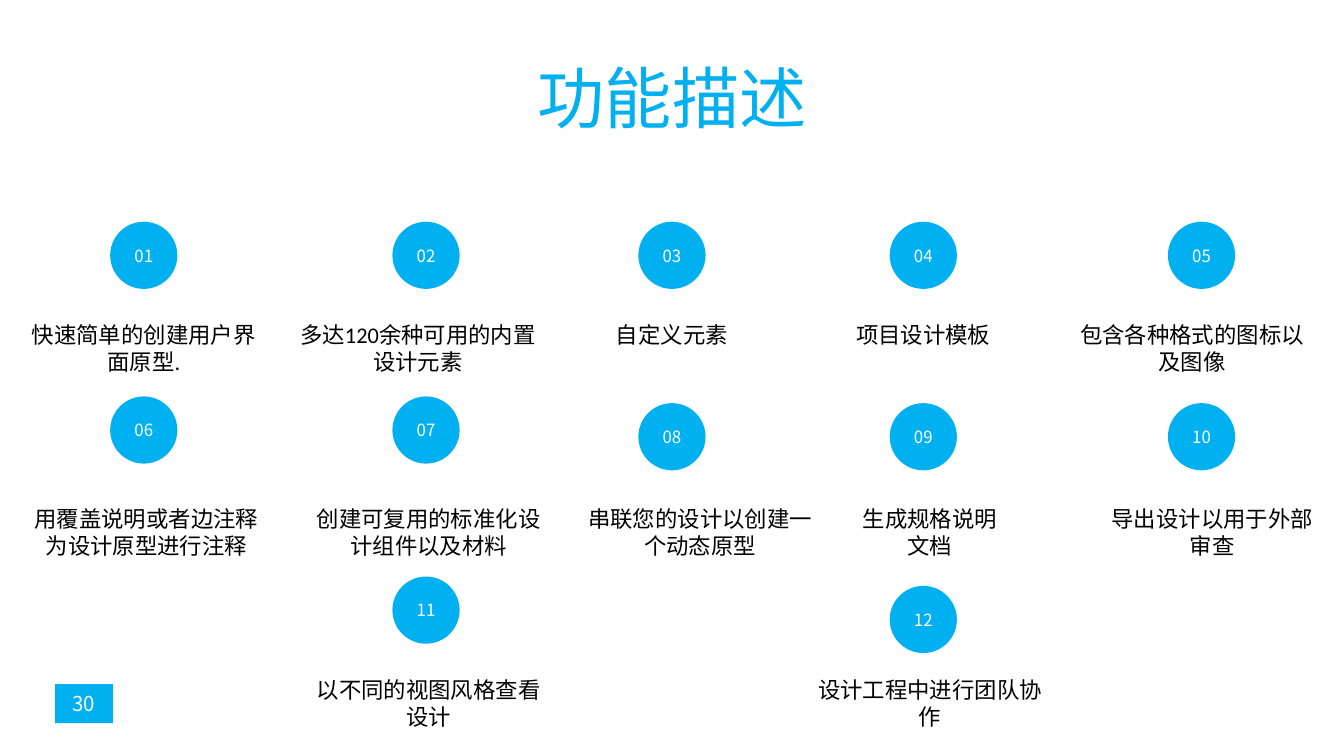
from lxml import etree
from pptx import Presentation
from pptx import util as u
from pptx.dml.color import RGBColor
from pptx.enum import shapes, text
from pptx.oxml.ns import qn

COLORS = {"accent": "00B0F0", "white": "FFFFFF", "black": "000000"}
SANS = "Noto Sans CJK KR"
DIAMETER = 0.5

# Centres of the five columns
COLUMNS = [1.07, 3.17, 5.0, 6.87, 8.94]
# Top of the captions in each row
CAPTION_TOPS = [2.34, 3.71, 4.98]
# Per feature: row, column, circle top, caption, caption shift from column, caption width
FEATURES = [
    (0, 0, 1.65, "快速简单的创建用户界面原型.", 0, 2),
    (0, 1, 1.65, "多达120余种可用的内置设计元素", -0.06, 2.04),
    (0, 2, 1.65, "自定义元素", 0, 1.21),
    (0, 3, 1.65, "项目设计模板", 0, 2),
    (0, 4, 1.65, "包含各种格式的图标以及图像", -0.07, 2),
    (1, 0, 2.95, "用覆盖说明或者边注释为设计原型进行注释", 0.02, 2),
    (1, 1, 2.95, "创建可复用的标准化设计组件以及材料", 0.02, 1.88),
    (1, 2, 3.0, "串联您的设计以创建一个动态原型", 0.21, 1.88),
    (1, 3, 3.0, "生成规格说明文档", 0.05, 1.26),
    (1, 4, 3.0, "导出设计以用于外部审查", 0.08, 1.79),
    (2, 1, 4.29, "以不同的视图风格查看设计", 0.02, 2),
    (2, 3, 4.36, "设计工程中进行团队协作", 0.05, 2),
]


def write(shape, words, size, color, font=SANS, anchor=text.MSO_ANCHOR.MIDDLE, inset=(0, 0)):
    """Fill a shape with one centred paragraph; inset is (side, top and bottom)."""
    frame = shape.text_frame
    frame.word_wrap = True
    frame.auto_size = text.MSO_AUTO_SIZE.NONE
    frame.vertical_anchor = anchor
    side, edge = inset
    frame.margin_left = frame.margin_right = u.Inches(side)
    frame.margin_top = frame.margin_bottom = u.Inches(edge)
    paragraph = frame.paragraphs[0]
    paragraph.alignment = text.PP_ALIGN.CENTER
    run = paragraph.add_run()
    run.text = words
    run.font.size = u.Pt(size)
    run.font.name = font
    run.font.color.rgb = RGBColor.from_string(COLORS[color])
    east_asian = etree.SubElement(run.font._element, qn("a:ea"))
    east_asian.set("typeface", font)


def add_badge(kind, left, top, width, height, words, size):
    badge = slide.shapes.add_shape(kind, *map(u.Inches, (left, top, width, height)))
    badge.shadow.inherit = False
    badge.fill.solid()
    badge.fill.fore_color.rgb = RGBColor.from_string(COLORS["accent"])
    badge.line.fill.background()
    write(badge, words, size, "white")


deck = Presentation()
deck.slide_width = u.Inches(10)
deck.slide_height = deck.slide_width * 9 // 16
slide = deck.slides.add_slide(deck.slide_layouts[5])

title = slide.shapes.title
title.left, title.top, title.width, title.height = map(u.Inches, (2, 0.65, 6, 0.42))
write(title, "功能描述", 36, "accent", anchor=text.MSO_ANCHOR.BOTTOM, inset=(0.1, 0.05))

add_badge(shapes.MSO_SHAPE.RECTANGLE, 0.41, 5.09, 0.43, 0.29, "30", 11)

for number, (row, column, top, caption, shift, width) in enumerate(FEATURES, 1):
    center = COLUMNS[column]
    add_badge(shapes.MSO_SHAPE.OVAL, center - DIAMETER / 2, top,
              DIAMETER, DIAMETER, f"{number:02d}", 9)
    height = 0.3 if len(caption) < 7 else 0.5
    description = slide.shapes.add_textbox(
        *map(u.Inches, (center + shift - width / 2, CAPTION_TOPS[row], width, height)))
    write(description, caption, 12, "black", font="Calibri",
          anchor=text.MSO_ANCHOR.TOP, inset=(0.1, 0.05))

deck.save("out.pptx")
